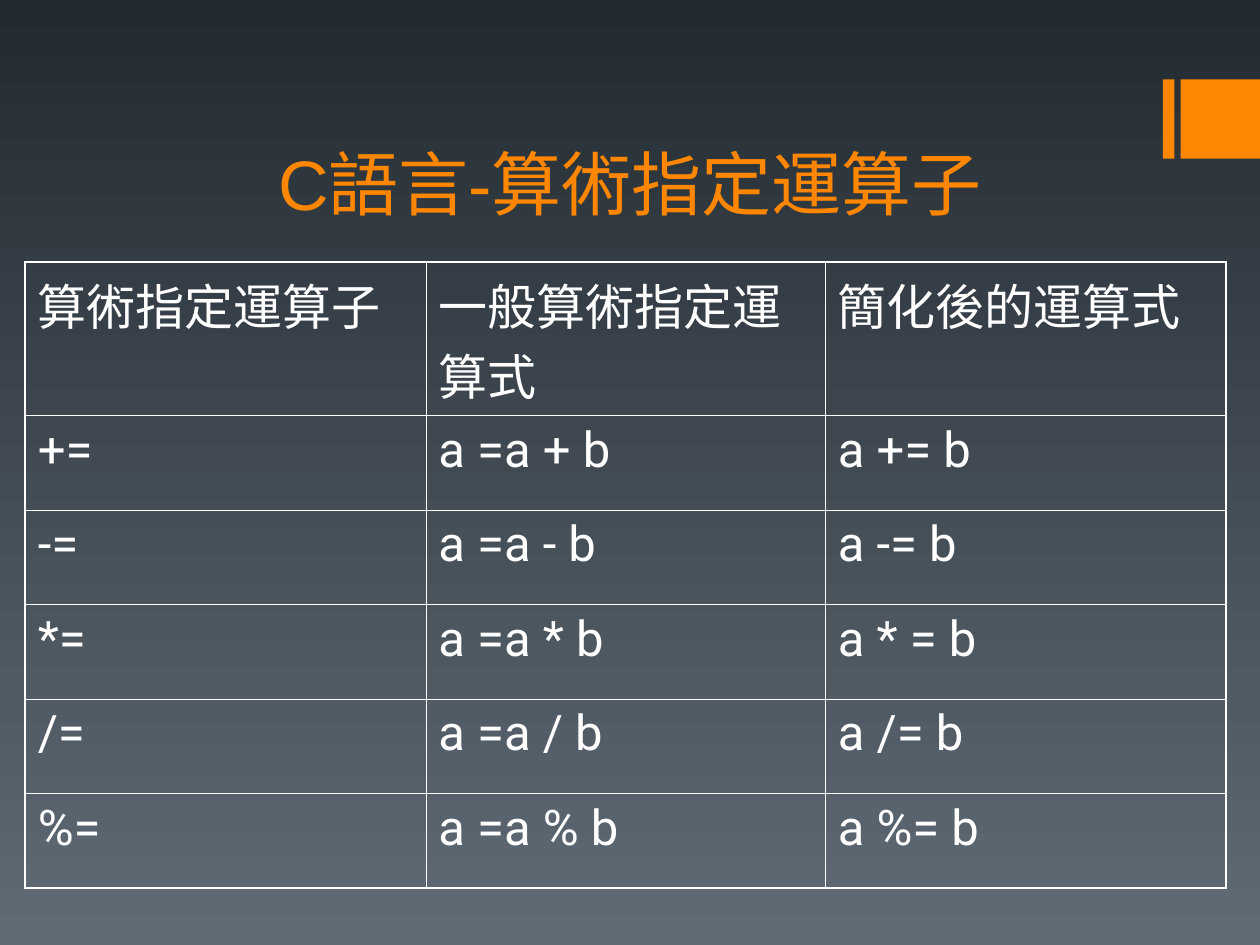
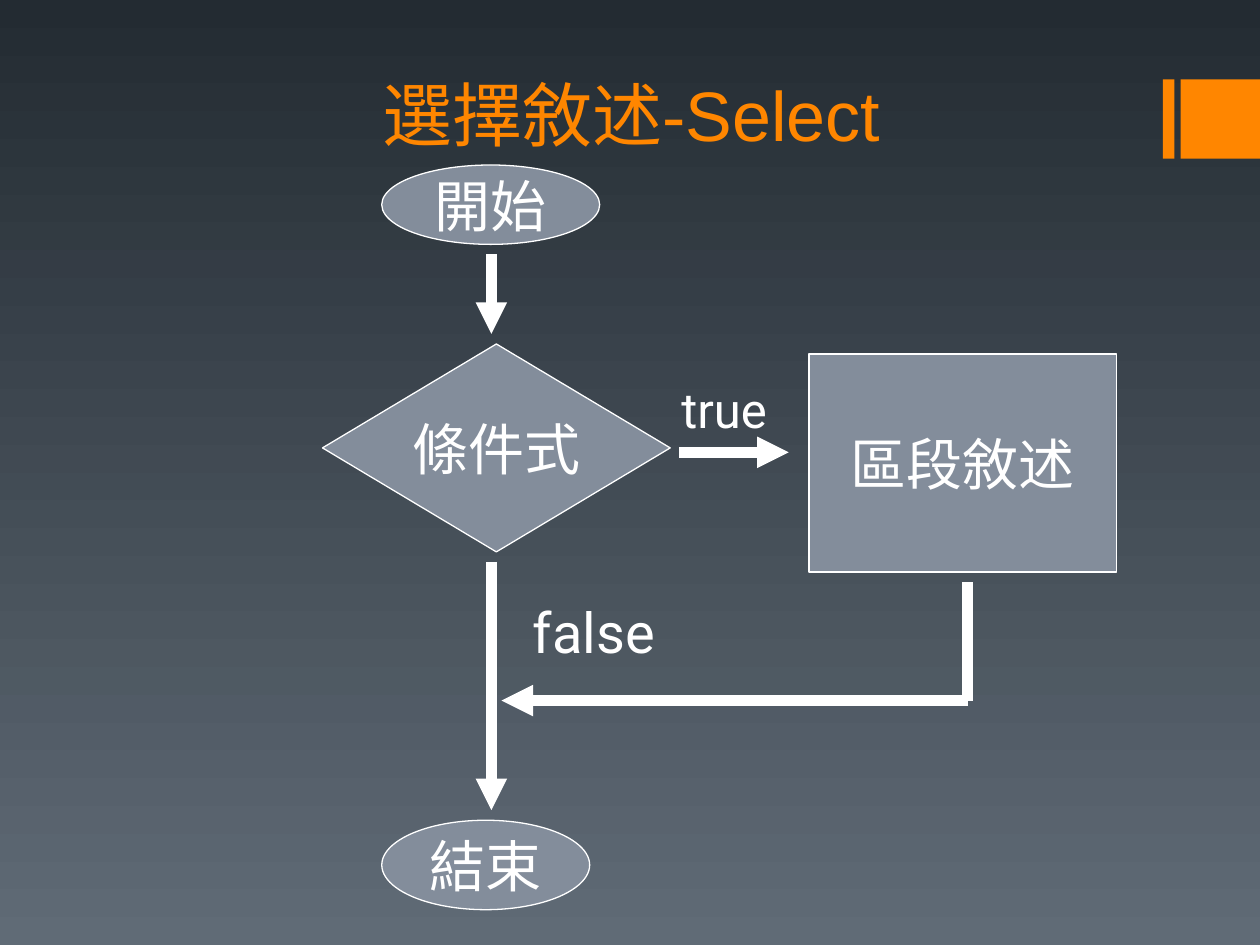
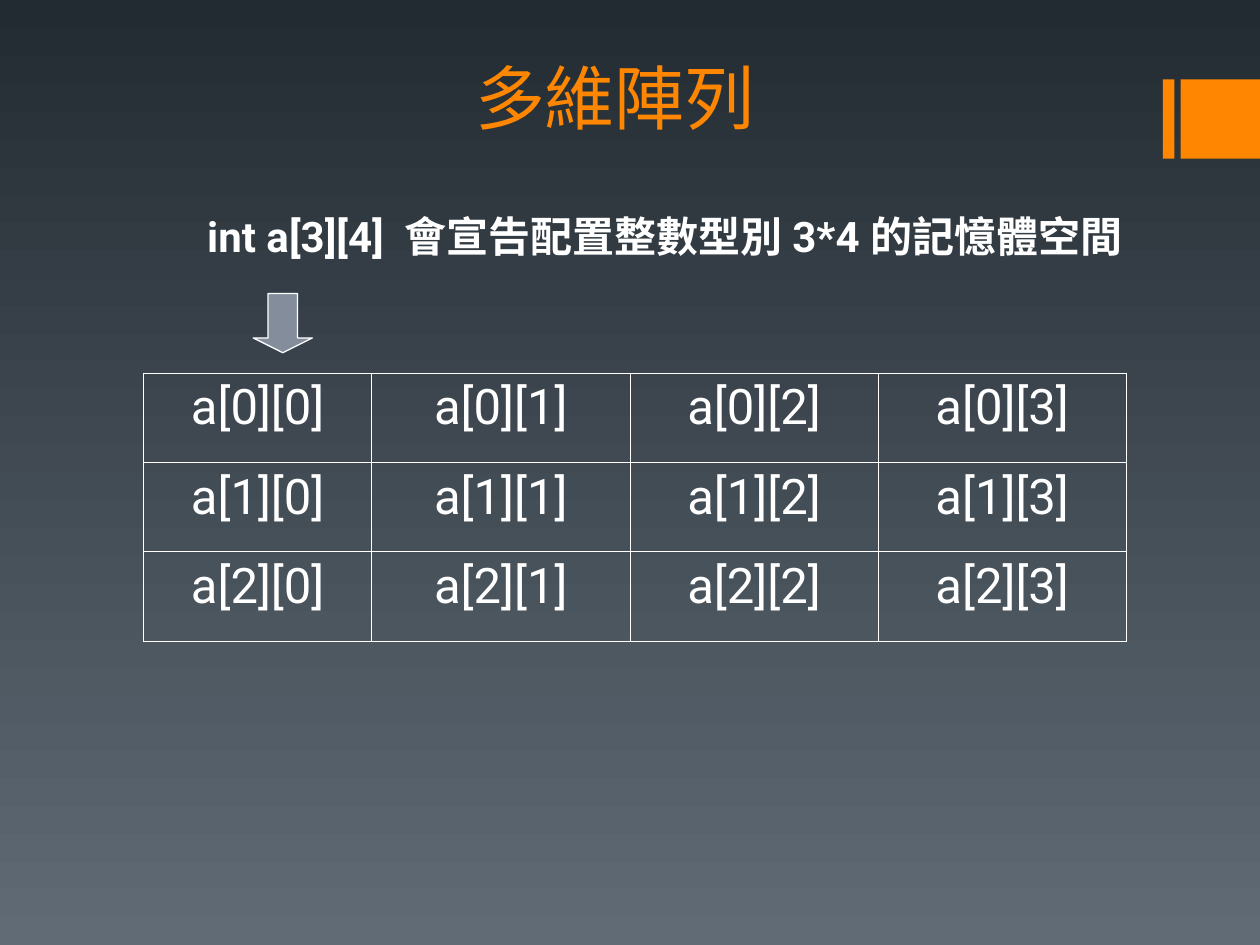
import pptx
import pptx.util
import pptx.dml.color
import pptx.enum.shapes
import pptx.enum.text
import pptx.oxml
import pptx.oxml.ns
from lxml import etree

Inches = pptx.util.Inches
Pt = pptx.util.Pt
RGBColor = pptx.dml.color.RGBColor
SHAPE = pptx.enum.shapes.MSO_SHAPE
ALIGN = pptx.enum.text.PP_ALIGN
ANCHOR = pptx.enum.text.MSO_ANCHOR
qn = pptx.oxml.ns.qn

BG_TOP = RGBColor(0x23, 0x2B, 0x32)
BG_BOTTOM = RGBColor(0x60, 0x6B, 0x76)
ORANGE = RGBColor(0xFF, 0x86, 0x00)
GREY = RGBColor(0x83, 0x8D, 0x9B)
WHITE = RGBColor(0xFF, 0xFF, 0xFF)

THIN, THICK = 0.45, 1.08


def write_text(tf, text, size=28, font="Roboto", color=WHITE, bold=False,
               align=ALIGN.LEFT, anchor=ANCHOR.TOP, wrap=True):
    tf.word_wrap = wrap
    tf.vertical_anchor = anchor
    p = tf.paragraphs[0]
    p.alignment = align
    r = p.add_run()
    r.text = text
    r.font.size = Pt(size)
    r.font.name = font
    r.font.bold = bold
    r.font.color.rgb = color


def add_text(slide, text, box, **fmt):
    sp = slide.shapes.add_textbox(*map(Inches, box))
    write_text(sp.text_frame, text, **fmt)


def add_block(slide, kind, box, fill=GREY, line=WHITE, text=None):
    sp = slide.shapes.add_shape(kind, *map(Inches, box))
    sp.shadow.inherit = False
    sp.fill.solid()
    sp.fill.fore_color.rgb = fill
    if line is None:
        sp.line.fill.background()
    else:
        sp.line.color.rgb = line
        sp.line.width = Pt(0.75)
    if text:
        write_text(sp.text_frame, text, size=32, align=ALIGN.CENTER,
                   anchor=ANCHOR.MIDDLE, wrap=False)
    return sp


def add_flow(slide, start, end, arrow=True):
    cn = slide.shapes.add_connector(pptx.enum.shapes.MSO_CONNECTOR.STRAIGHT,
                                    *map(Inches, start + end))
    cn.line.color.rgb = WHITE
    cn.line.width = Pt(6)
    if arrow:
        etree.SubElement(cn.line._get_or_add_ln(), qn("a:tailEnd"), type="triangle")
    etree.SubElement(cn._element.spPr, qn("a:effectLst"))


def set_borders(cell, widths):
    cell.fill.background()
    tcPr = cell._tc.get_or_add_tcPr()
    for i, (side, width) in enumerate(zip("LRTB", widths)):
        ln = pptx.oxml.parse_xml(
            f'<a:ln{side} xmlns:a="{pptx.oxml.ns.nsuri("a")}" w="{Pt(width)}">'
            f'<a:solidFill><a:srgbClr val="{WHITE}"/></a:solidFill></a:ln{side}>')
        tcPr.insert(i, ln)


def add_grid(slide, left, top, cols, heights, rows, outer=THIN, align=ALIGN.LEFT):
    table = slide.shapes.add_table(
        len(rows), len(cols), Inches(left), Inches(top),
        Inches(sum(cols)), Inches(sum(heights))).table
    table.first_row = table.horz_banding = False
    for col, width in zip(table.columns, cols):
        col.width = Inches(width)
    for row, height in zip(table.rows, heights):
        row.height = Inches(height)
    for i, row in enumerate(rows):
        for j, text in enumerate(row):
            cell = table.cell(i, j)
            write_text(cell.text_frame, text, align=align)
            at_edge = (j == 0, j == len(cols) - 1, i == 0, i == len(rows) - 1)
            set_borders(cell, [outer if edge else THIN for edge in at_edge])


def set_background(master):
    fill = master.background.fill
    fill.gradient()
    fill.gradient_angle = 270
    for stop, color in zip(fill.gradient_stops, (BG_TOP, BG_BOTTOM)):
        stop.color.rgb = color


def add_slide(prs, title, box):
    slide = prs.slides.add_slide(prs.slide_layouts[6])
    for left, width in ((9.23, 0.09), (9.37, 0.63)):
        add_block(slide, SHAPE.RECTANGLE, (left, 0.63, width, 0.63), ORANGE, None)
    add_text(slide, title, box, size=40, font="Arial", color=ORANGE,
             align=ALIGN.CENTER, anchor=ANCHOR.BOTTOM)
    return slide


def build_operators(prs):
    slide = add_slide(prs, "C語言-算術指定運算子", (0.5, 0.32, 9, 1.51))
    rows = [("算術指定運算子", "一般算術指定運算式", "簡化後的運算式")]
    for op in "+-*/%":
        short = "a * = b" if op == "*" else f"a {op}= b"
        rows.append((f"{op}=", f"a =a {op} b", short))
    add_grid(slide, 0.2, 2.08, [3.18, 3.17, 3.18], [1.22] + [0.75] * 5, rows,
             outer=THICK)


def build_select(prs):
    slide = add_slide(prs, "選擇敘述-Select", (0.51, 0.21, 9, 1.07))
    for kind, box, text in (
            (SHAPE.FLOWCHART_DECISION, (2.56, 2.73, 2.76, 1.65), "條件式"),
            (SHAPE.FLOWCHART_PROCESS, (6.42, 2.81, 2.44, 1.73), "區段敘述"),
            (SHAPE.OVAL, (3.03, 6.51, 1.65, 0.71), "結束"),
            (SHAPE.OVAL, (3.03, 1.31, 1.73, 0.63), "開始")):
        add_block(slide, kind, box, text=text)
    main_x, branch_x, merge_y = 3.9, 7.68, 5.56
    add_flow(slide, (5.39, 3.59), (6.26, 3.59))
    add_flow(slide, (main_x, 2.02), (main_x, 2.65))
    add_flow(slide, (main_x, 4.46), (main_x, 6.43))
    add_flow(slide, (branch_x, 4.62), (branch_x, merge_y), arrow=False)
    add_flow(slide, (branch_x, merge_y), (3.98, merge_y))
    add_text(slide, "true", (5.31, 2.96, 1.02, 0.57))
    add_text(slide, "false", (4.13, 4.69, 1.81, 0.64), size=32)


def build_arrays(prs):
    slide = add_slide(prs, "多維陣列", (1.69, 0.28, 6.38, 0.87))
    rows = [[f"a[{i}][{j}]" for j in range(4)] for i in range(3)]
    add_grid(slide, 1.14, 2.96, [1.81, 2.05, 1.97, 1.97], [0.71] * 3, rows,
             align=ALIGN.CENTER)
    add_text(slide, "int a[3][4]  會宣告配置整數型別 3*4 的記憶體空間",
             (1.14, 1.62, 8.27, 0.5), size=24, bold=True, align=ALIGN.CENTER)
    sp = add_block(slide, SHAPE.DOWN_ARROW, (2.01, 2.33, 0.47, 0.47))
    sp.adjustments[0] = 0.5
    sp.adjustments[1] = 0.25


def main():
    prs = pptx.Presentation()
    prs.slide_width = Inches(10)
    prs.slide_height = Inches(7.5)
    set_background(prs.slide_master)
    build_operators(prs)
    build_select(prs)
    build_arrays(prs)
    prs.save("out.pptx")


if __name__ == "__main__":
    main()
